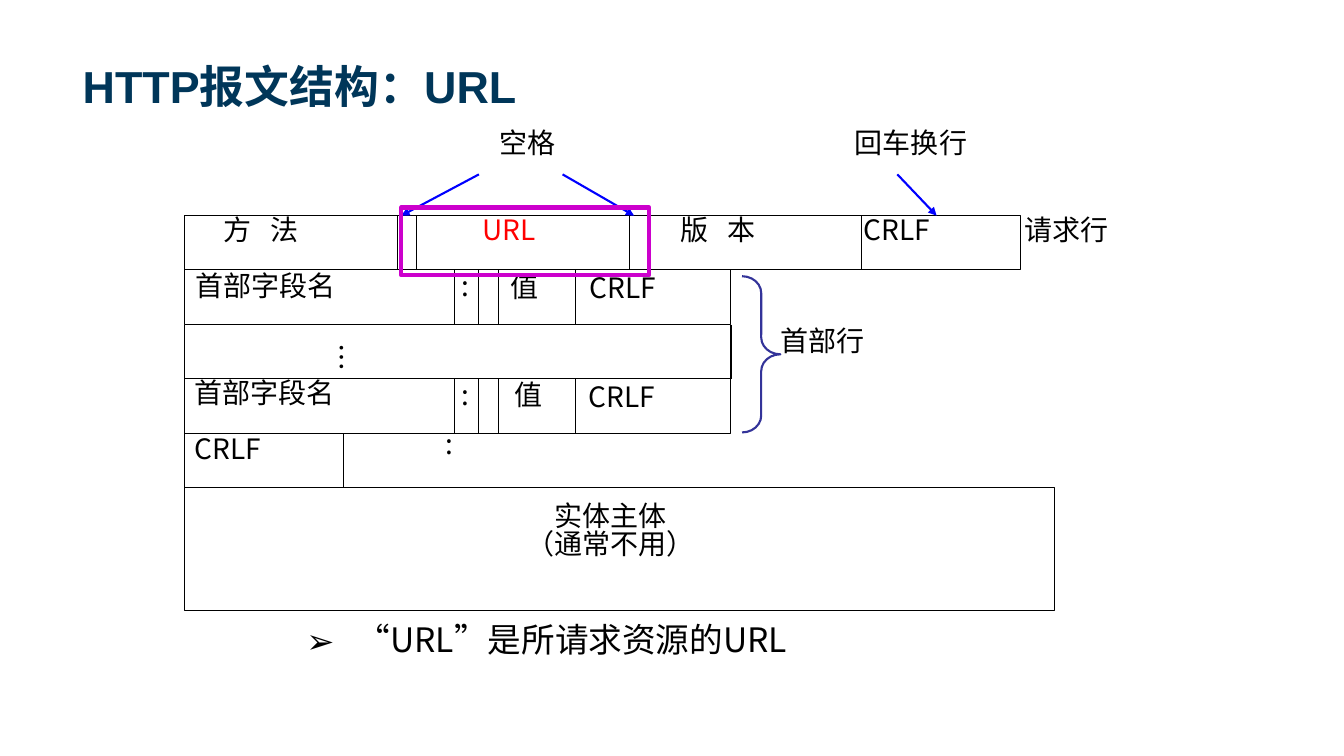
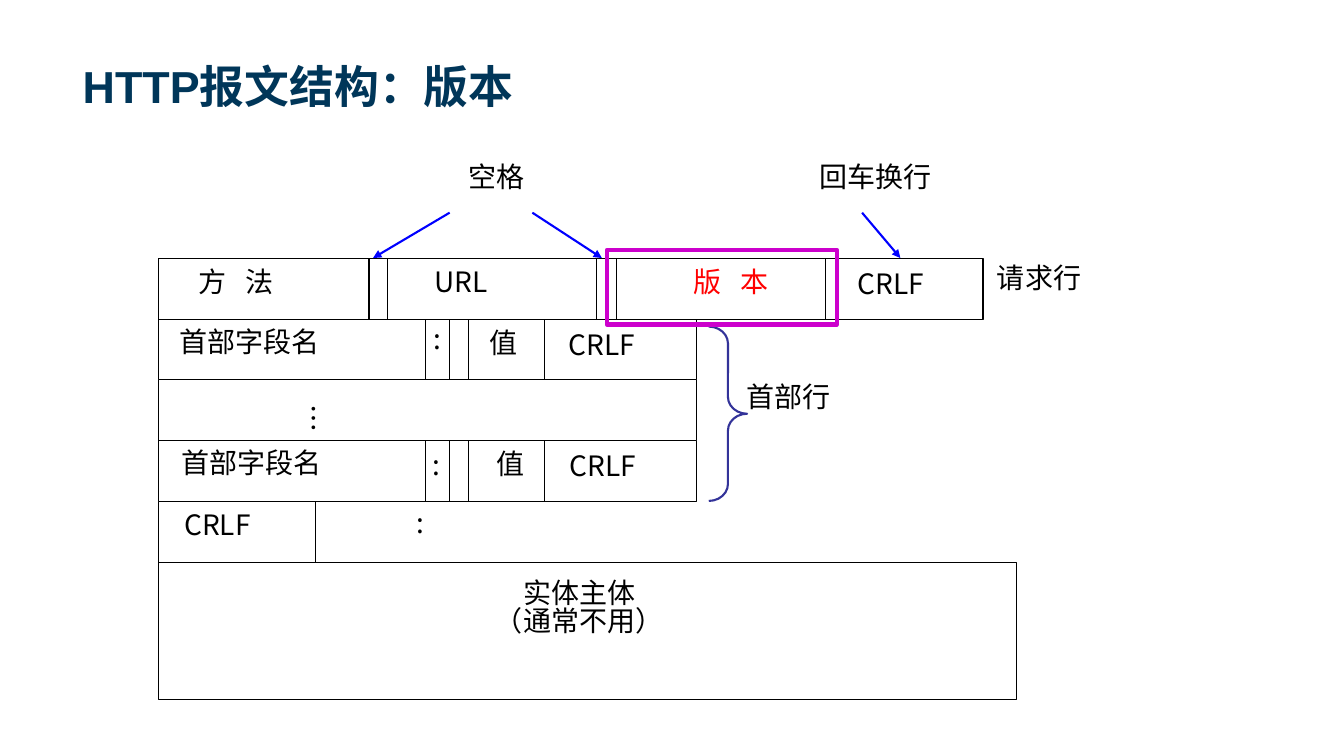
from dataclasses import dataclass

from pptx import Presentation
from pptx import util as u
from pptx.dml.color import RGBColor
from pptx.enum import shapes, text
from pptx.oxml import ns
from lxml import etree

PX = 9144  # EMU in one px, 100 px to the inch
LEFT, CENTER, RIGHT = text.PP_ALIGN.LEFT, text.PP_ALIGN.CENTER, text.PP_ALIGN.RIGHT


@dataclass(frozen=True)
class Theme:
    title_font: str = "Arial"
    body_font: str = "Noto Sans CJK SC"
    title_size: int = 32
    note_size: int = 24
    label_size: int = 20
    title: str = "003659"
    ink: str = "000000"
    accent: str = "FF0000"
    arrow: str = "0000FF"
    brace: str = "333399"
    highlight: str = "CC00CC"
    thin: float = 0.75
    medium: float = 1.5
    thick: float = 3


def px(*lengths):
    return [u.Emu(length * PX) for length in lengths]


def add_child(parent, tag, **attributes):
    child = etree.SubElement(parent, ns.qn(tag))
    for name, value in attributes.items():
        child.set(name, value)
    return child


class Deck:
    def __init__(self, theme):
        self.theme = theme
        self.prs = Presentation()
        self.prs.slide_width, self.prs.slide_height = px(1333, 750)
        self.slide = None

    def new_slide(self, title):
        self.slide = self.prs.slides.add_slide(self.prs.slide_layouts[5])
        heading = self.slide.shapes.title
        heading.left, heading.top, heading.width, heading.height = px(72, 14, 1188, 98)
        frame = heading.text_frame
        frame.word_wrap = True
        frame.auto_size = text.MSO_AUTO_SIZE.NONE
        frame.vertical_anchor = text.MSO_ANCHOR.BOTTOM
        frame.margin_bottom = 0
        frame.paragraphs[0].alignment = LEFT
        self.run(frame.paragraphs[0], title, self.theme.title_size, self.theme.title,
                 self.theme.title_font, bold=True)

    def run(self, paragraph, words, size, color, font=None, bold=False):
        run = paragraph.add_run()
        run.text = words
        run.font.size = u.Pt(size)
        run.font.bold = bold
        run.font.color.rgb = RGBColor.from_string(color)
        run.font.name = font or self.theme.body_font
        add_child(run.font._element, "a:ea", typeface=self.theme.body_font)

    def label(self, words, x, y, width, height=44, align=LEFT, color=None, size=None,
              rotation=0, bullet=None):
        box = self.slide.shapes.add_textbox(*px(x, y, width, height))
        box.rotation = rotation
        frame = box.text_frame
        frame.word_wrap = True
        for index, line in enumerate(words.split("\n")):
            paragraph = frame.add_paragraph() if index else frame.paragraphs[0]
            paragraph.alignment = align
            paragraph.line_spacing = 0.82
            if bullet:
                properties = paragraph._p.get_or_add_pPr()
                properties.set("marL", str(50 * PX))
                properties.set("indent", str(-50 * PX))
                add_child(properties, "a:buFont", typeface=self.theme.body_font)
                add_child(properties, "a:buChar", char=bullet)
            self.run(paragraph, line, size or self.theme.label_size, color or self.theme.ink)

    def outline(self, x, y, width, height, color=None, weight=None,
                kind=shapes.MSO_SHAPE.RECTANGLE):
        shape = self.slide.shapes.add_shape(kind, *px(x, y, width, height))
        shape.shadow.inherit = False
        shape.fill.background()
        shape.line.color.rgb = RGBColor.from_string(color or self.theme.ink)
        shape.line.width = u.Pt(weight or self.theme.thin)
        return shape

    def brace(self, x, y, width, height):
        brace = self.outline(x, y, width, height, self.theme.brace, self.theme.medium,
                             shapes.MSO_SHAPE.RIGHT_BRACE)
        brace.adjustments[0] = 0.44

    def line(self, x1, y1, x2, y2, color=None, weight=None):
        line = self.slide.shapes.add_connector(shapes.MSO_CONNECTOR.STRAIGHT, *px(x1, y1, x2, y2))
        line.line.color.rgb = RGBColor.from_string(color or self.theme.ink)
        line.line.width = u.Pt(weight or self.theme.thin)
        add_child(line._element.spPr, "a:effectLst")
        return line

    def arrow(self, x1, y1, x2, y2):
        arrow = self.line(x1, y1, x2, y2, self.theme.arrow, self.theme.medium)
        add_child(arrow.line._get_or_add_ln(), "a:tailEnd", type="triangle")

    def dividers(self, columns, top, bottom):
        for x in columns:
            self.line(x, top, x, bottom)


@dataclass
class Message:
    """Geometry of one request message; the six edges bound its five rows."""
    left: int
    edges: list
    request_width: int
    header_width: int
    body_size: tuple
    request_columns: list
    header_columns: list
    crlf_right: int
    brace: tuple
    arrow_top: int
    arrows: list
    highlight: tuple


def draw_message(deck, message, labels):
    left, edges = message.left, message.edges
    rows = list(zip(edges, edges[1:]))
    request, first_header, middle, last_header, blank = rows
    header_right = left + message.header_width

    for (top, bottom), width, columns in (
            (request, message.request_width, message.request_columns),
            (first_header, message.header_width, message.header_columns),
            (last_header, message.header_width, message.header_columns)):
        deck.outline(left, top, width, bottom - top)
        deck.dividers(columns, top, bottom)
    deck.dividers([left, header_right], *middle)
    deck.dividers([left, message.crlf_right], *blank)
    deck.outline(left, edges[-1], *message.body_size)

    deck.brace(*message.brace)
    for start, tip in message.arrows:
        deck.arrow(start, message.arrow_top, tip, edges[0])
    for words, x, y, width, *style in labels:
        deck.label(words, x, y, width, **(style[0] if style else {}))
    deck.outline(*message.highlight, deck.theme.highlight, deck.theme.thick)


def main():
    theme = Theme()
    deck = Deck(theme)
    to_right = {"align": RIGHT}
    body = {"align": CENTER, "height": 77}
    upright = {"rotation": 270}

    deck.new_slide("HTTP报文结构：URL")
    draw_message(deck, Message(
        left=183, edges=[214, 267, 322, 376, 430, 484],
        request_width=829, header_width=542, body_size=(863, 122),
        request_columns=[394, 413, 624, 643, 854], header_columns=[451, 475, 494, 571],
        crlf_right=341, brace=(736, 274, 38, 155),
        arrow_top=173, arrows=[(475, 398), (558, 629), (890, 929)],
        highlight=(398, 206, 246, 67)), [
            ("空格", 453, 126, 108, to_right),
            ("回车换行", 787, 126, 182, to_right),
            ("方   法", 212, 212, 141),
            ("URL", 450, 212, 109, {"align": CENTER, "color": theme.accent}),
            ("版   本", 665, 212, 141),
            ("CRLF", 847, 212, 125),
            ("请求行", 1006, 212, 145),
            ("首部字段名", 184, 267, 219),
            (":", 448, 267, 44),
            ("值", 496, 268, 71),
            ("CRLF", 575, 269, 125),
            ("首部行", 764, 322, 145),
            ("…", 316, 327, 58, upright),
            ("首部字段名", 183, 374, 219),
            (":", 448, 376, 44),
            ("值", 500, 376, 71),
            ("CRLF", 574, 377, 147),
            ("CRLF", 183, 429, 125),
            (":", 432, 424, 44),
            ("实体主体\n（通常不用）", 477, 496, 257, body)])
    deck.label("“URL”是所请求资源的URL", 294, 616, 560, 50, size=theme.note_size, bullet="➢")

    deck.new_slide("HTTP报文结构：版本")
    draw_message(deck, Message(
        left=157, edges=[256, 317, 377, 437, 498, 558],
        request_width=818, header_width=534, body_size=(851, 136),
        request_columns=[366, 384, 592, 611, 819], header_columns=[422, 446, 465, 540],
        crlf_right=313, brace=(703, 324, 38, 173),
        arrow_top=211, arrows=[(446, 370), (528, 597), (855, 893)],
        highlight=(602, 248, 228, 74)), [
            ("空格", 424, 159, 106, to_right),
            ("回车换行", 754, 159, 180, to_right),
            ("方   法", 187, 263, 139),
            ("URL", 421, 263, 107),
            ("版   本", 633, 263, 139, {"align": RIGHT, "color": theme.accent}),
            ("CRLF", 841, 265, 124),
            ("请求行", 979, 259, 143),
            ("首部字段名", 168, 323, 216),
            (":", 420, 320, 43),
            ("值", 476, 324, 70),
            ("CRLF", 554, 326, 124),
            ("首部行", 731, 377, 143),
            ("…", 285, 385, 64, upright),
            ("首部字段名", 170, 443, 216),
            (":", 419, 445, 43),
            ("值", 483, 444, 70),
            ("CRLF", 555, 446, 145),
            ("CRLF", 173, 504, 124),
            (":", 403, 502, 43),
            ("实体主体\n（通常不用）", 448, 572, 253, body)])

    deck.prs.save("out.pptx")


if __name__ == "__main__":
    main()
